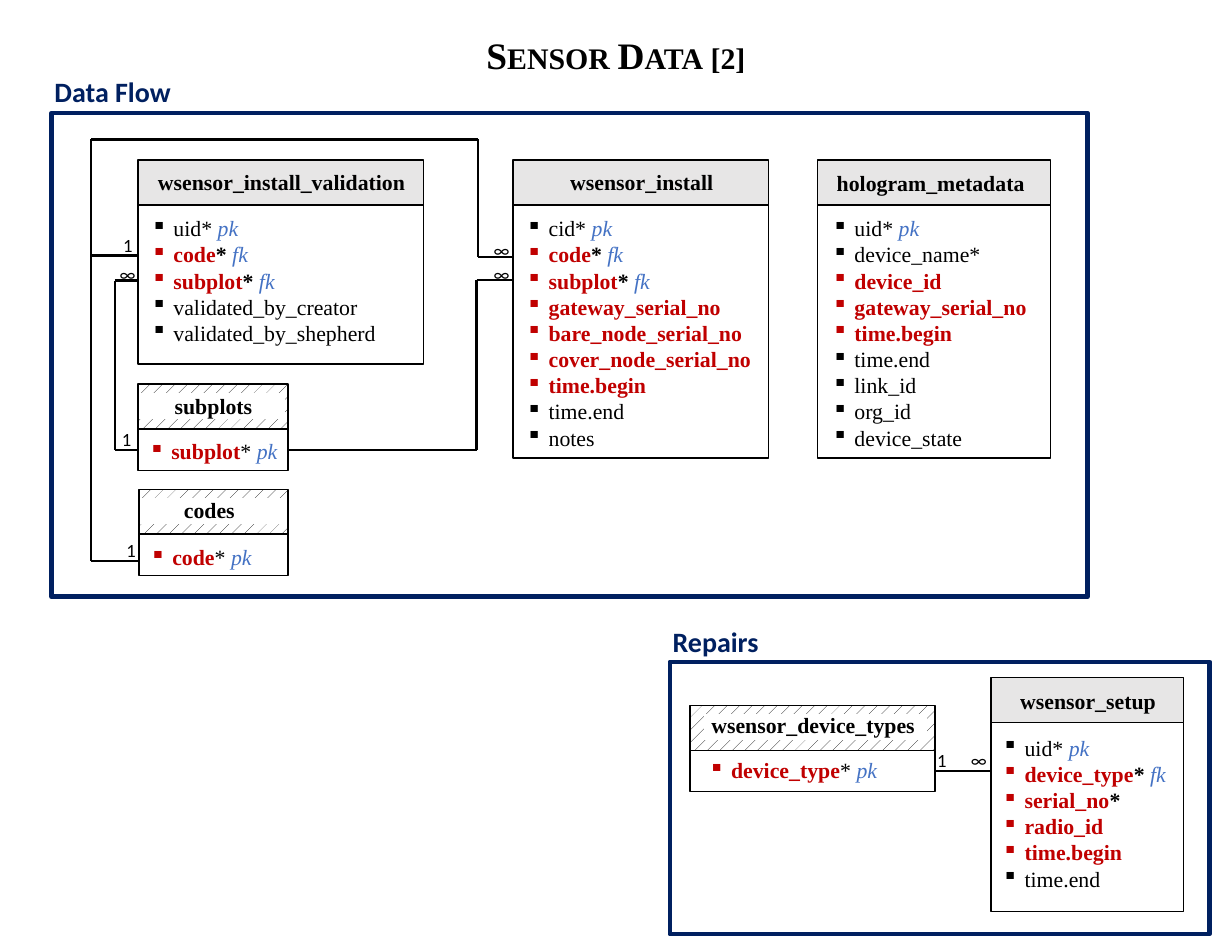
from pptx import Presentation
from pptx.util import Pt
from pptx.dml.color import RGBColor
from pptx.enum.dml import MSO_PATTERN
from pptx.enum.shapes import MSO_CONNECTOR, MSO_SHAPE
from pptx.enum.text import PP_ALIGN
from pptx.oxml.ns import qn
from lxml import etree

RECTANGLE, STRAIGHT = MSO_SHAPE.RECTANGLE, MSO_CONNECTOR.STRAIGHT
DOTTED = MSO_PATTERN.PERCENT_10
LEFT, CENTER = PP_ALIGN.LEFT, PP_ALIGN.CENTER
BLACK = RGBColor(0x00, 0x00, 0x00)
WHITE = RGBColor(0xFF, 0xFF, 0xFF)
GRAY = RGBColor(0xE7, 0xE6, 0xE6)
RED = RGBColor(0xC0, 0x00, 0x00)
BLUE = RGBColor(0x44, 0x72, 0xC4)
NAVY = RGBColor(0x00, 0x20, 0x60)
SERIF, SANS = "Times New Roman", "Calibri"

# Text formats
PLAIN = dict(name=SERIF, size=Pt(14), color=BLACK, bold=False, italic=False)
STRONG = {**PLAIN, "bold": True}
MATCH = {**STRONG, "color": RED}
KEY = {**PLAIN, "color": BLUE, "italic": True}
TITLE = {**STRONG, "size": Pt(24)}
SECTION = dict(name=SANS, size=Pt(18), color=NAVY, bold=True)
COUNT = dict(name=SANS, size=Pt(12), color=BLACK)


def plain(name):
    return [(name, PLAIN)]


def match(name):
    return [(name, MATCH)]


def primary(name):
    return [(name + "* ", PLAIN), ("pk", KEY)]


def foreign(name):
    return [(name, MATCH), ("* ", STRONG), ("fk", KEY)]


def lookup(name):
    return [(name, MATCH), ("* ", PLAIN), ("pk", KEY)]


# Content: name, left, top, width, body height, title shift, list shift, fields
ENTITIES = [
    ("hologram_metadata", 525.6, 103, 149.8, 162.7, (-2.2, 2.9), (2.2, 2.9), [
        primary("uid"), plain("device_name*"), match("device_id"),
        match("gateway_serial_no"), match("time.begin"), plain("time.end"),
        plain("link_id"), plain("org_id"), plain("device_state")]),
    ("wsensor_install", 329.8, 103, 164.2, 162.7, (0.7, 2.2), (1.4, 2.9), [
        primary("cid"), foreign("code"), foreign("subplot"),
        match("gateway_serial_no"), match("bare_node_serial_no"),
        match("cover_node_serial_no"), match("time.begin"),
        plain("time.end"), plain("notes")]),
    ("wsensor_install_validation", 88.6, 103, 183.6, 102.2, (0.7, 2.2), (1.4, 2.9), [
        primary("uid"), foreign("code"), foreign("subplot"),
        plain("validated_by_creator"), plain("validated_by_shepherd")]),
    ("wsensor_setup", 637.2, 435.6, 123.8, 121.7, (0.4, 2.9), (0, 4.3), [
        primary("uid"), foreign("device_type"),
        [("serial_no", MATCH), ("*", STRONG)],
        match("radio_id"), match("time.begin"), plain("time.end")]),
    ("codes", 89.3, 314.6, 95.8, 26.6, (-2.6, 1.4), (0, 2.9), [lookup("code")]),
    ("subplots", 88.6, 247, 96.5, 26.6, (0.4, 2.2), (0, 2.2), [lookup("subplot")]),
    ("wsensor_device_types", 443.5, 453.6, 157.7, 26.6, (0.4, 0.7), (5, 0.7),
     [lookup("device_type")]),
]
# Left and right inset of the white band in a lookup table's header
BANDS = {"codes": (1.4, 1.4), "subplots": (1.4, 2.2), "wsensor_device_types": (9.4, 5.8)}
# Corner points, and the body side where the route starts (if it is joined)
ROUTES = [
    ([(88.6, 289.1), (73.8, 289.1), (73.8, 180.4), (88.6, 180.4)], ("subplots", 1)),
    ([(185.1, 289.1), (306.4, 289.1), (306.4, 180), (329.8, 180)], ("subplots", 3)),
    ([(89.3, 360.7), (58.7, 360.7), (58.7, 89.6), (307.4, 89.6),
      (307.4, 165.2), (330.1, 165.2)], None),
    ([(58.7, 164.2), (88.2, 164.2)], None),
    ([(601.2, 495.7), (637.2, 495.7)], ("wsensor_device_types", 3)),
]
COUNTS = [("1", 71.3, 271.4), ("∞", 69.8, 165.6), ("1", 74.2, 342.7),
          ("1", 72, 146.9), ("∞", 310.3, 165.6), ("∞", 310.3, 149.8),
          ("1", 595.4, 478.1), ("∞", 617, 478.1)]
# Section name, label place, frame
SECTIONS = [("Data Flow", (27.9, 44.6), (33.1, 72.7, 666, 311)),
            ("Repairs", (425.3, 398.2), (430.6, 425.5, 347, 175))]
HEADER = 28.8
INDENT = 14.4

deck = Presentation()
deck.slide_width, deck.slide_height = Pt(792), Pt(612)
page = deck.slides.add_slide(deck.slide_layouts[6])


def add_span(para, text, style):
    span = para.add_run()
    span.text = text
    for field, value in style.items():
        if field == "color":
            span.font.color.rgb = value
        else:
            setattr(span.font, field, value)
    return span


def add_text(left, top, width, height, lines, align=LEFT, bullets=False):
    box = page.shapes.add_textbox(Pt(left), Pt(top), Pt(width), Pt(height))
    frame = box.text_frame
    frame.word_wrap = True
    for index, line in enumerate(lines):
        para = frame.add_paragraph() if index else frame.paragraphs[0]
        para.alignment = align
        if bullets:
            props = para._p.get_or_add_pPr()
            props.set("marL", str(Pt(INDENT)))
            props.set("indent", str(-Pt(INDENT)))
            etree.SubElement(props, qn("a:buChar")).set("char", "▪")
        for text, style in line:
            add_span(para, text, style)
    return box


def add_box(left, top, width, height, fill=None, line=BLACK, weight=1):
    box = page.shapes.add_shape(RECTANGLE, Pt(left), Pt(top), Pt(width), Pt(height))
    box.shadow.inherit = False
    if fill is None:
        box.fill.background()
    else:
        box.fill.solid()
        box.fill.fore_color.rgb = fill
    box.line.color.rgb = line
    box.line.width = Pt(weight)
    return box


# Slide title
title = add_text(0, 17.3, 792, 36, [[("Sensor Data [2]", TITLE)]], CENTER)
title.text_frame.paragraphs[0].runs[0]._r.get_or_add_rPr().set("cap", "small")

# Tables: header, title, body, fields
bodies = {}
for name, left, top, width, height, title_shift, list_shift, fields in ENTITIES:
    header = add_box(left, top, width, HEADER, GRAY)
    if name in BANDS:
        header.fill.patterned()
        header.fill.pattern = DOTTED
        header.fill.fore_color.rgb = BLACK
        header.fill.back_color.rgb = WHITE
        before, after = BANDS[name]
        add_box(left + before, top + 6, width - before - after, 15.8, WHITE, WHITE)
    add_text(left + title_shift[0], top + title_shift[1], width, 24.5,
             [[(name, STRONG)]], CENTER)
    body_top = top + HEADER
    bodies[name] = add_box(left, body_top, width, height, WHITE)
    add_text(left + list_shift[0], body_top + list_shift[1], width + 8,
             height - list_shift[1], fields, bullets=True)

# Relations
for points, joint in ROUTES:
    for index, (start, end) in enumerate(zip(points, points[1:])):
        line = page.shapes.add_connector(STRAIGHT, *map(Pt, start + end))
        line.line.color.rgb = BLACK
        line.line.width = Pt(1.5)
        etree.SubElement(line._element.spPr, qn("a:effectLst"))
        if joint and index == 0:
            line.begin_connect(bodies[joint[0]], joint[1])

for text, left, top in COUNTS:
    add_text(left, top, 29, 21.6, [[(text, COUNT)]])

# Section frames and labels
for name, place, frame in SECTIONS:
    add_box(*frame, line=NAVY, weight=3)
    add_text(*place, 111.6, 28.8, [[(name, SECTION)]])

deck.save("out.pptx")
